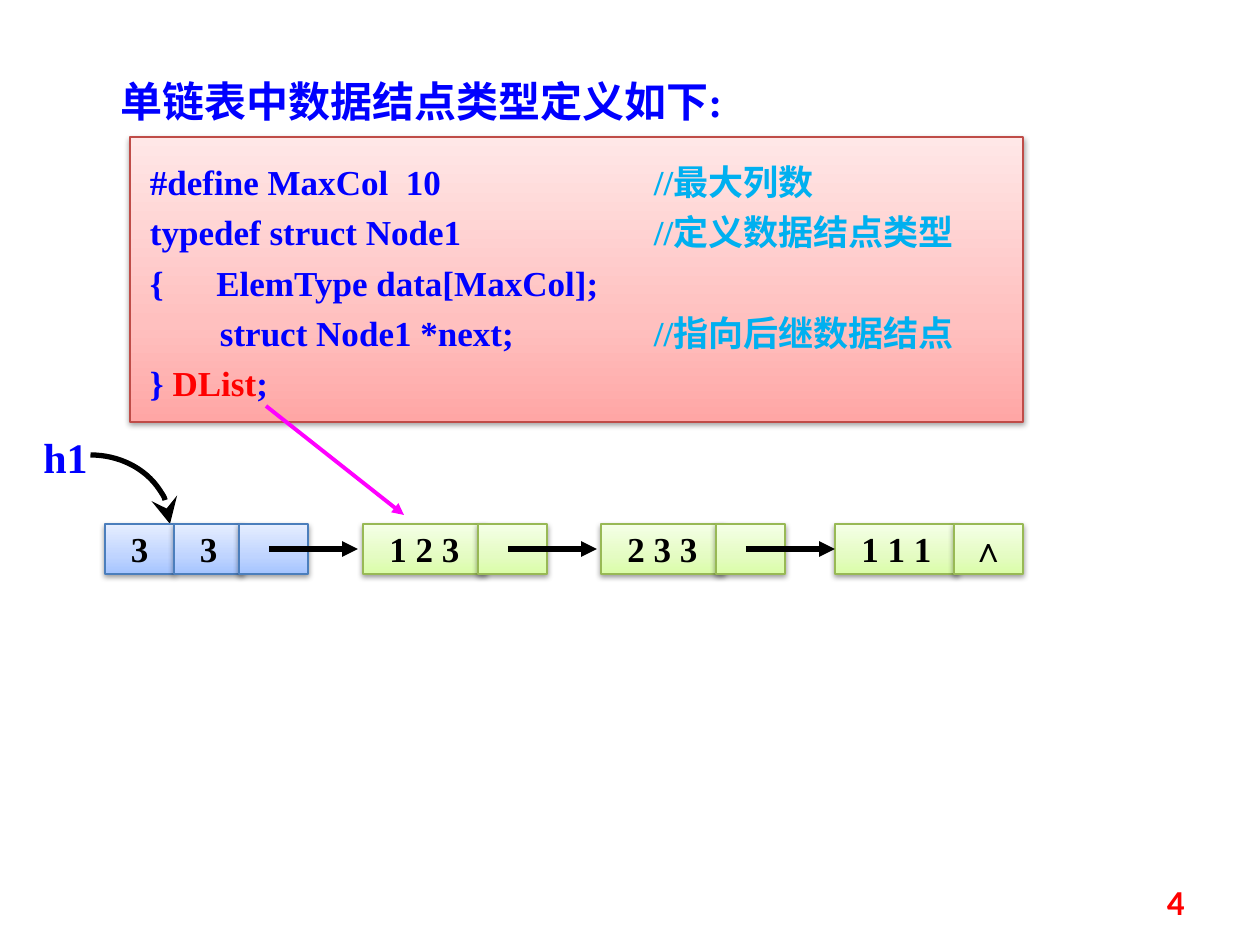
from lxml.etree import SubElement
from pptx import Presentation
from pptx.dml.color import RGBColor
from pptx.enum.shapes import MSO_CONNECTOR, MSO_SHAPE
from pptx.enum.text import MSO_ANCHOR, PP_ALIGN
from pptx.oxml.ns import qn
from pptx.util import Emu, Pt

SCALE = 914400 / 126
FONT = "Times New Roman"
COLORS = {
    "code": "0000FF",
    "comment": "00B0F0",
    "accent": "FF0000",
    "pointer": "FF00FF",
    "ink": "000000",
}
PALETTES = {
    "red": ("BF4C48", ("FFA6A5", "FFC0BF", "FFE7E7")),
    "blue": ("4B7EBC", ("A4C4FF", "BFD4FF", "E6EEFF")),
    "green": ("98B955", ("DAFDA7", "E4FCC2", "F5FFE7")),
}
STOPS = (0, 35, 100)
CODE_LINES = [
    [("#define MaxCol  10\t\t", "code"), ("//最大列数", "comment")],
    [("typedef struct Node1\t\t", "code"), ("//定义数据结点类型", "comment")],
    [("{  　ElemType data[MaxCol];", "code")],
    [("        struct Node1 *next;\t\t", "code"), ("//指向后继数据结点", "comment")],
    [("} ", "code"), ("DList", "accent"), (";", "code")],
]
TAB_WIDTH = 126
ROW_TOP, ROW_HEIGHT = 524, 50
ROW_MIDDLE = ROW_TOP + ROW_HEIGHT // 2
CELL_WIDTH, DATA_WIDTH = 69, 123
HEAD_CELLS = [(105, "3"), (174, "3"), (239, "")]
NODES = [
    (363, "1 2 3", 478, ""),
    (601, "2 3 3", 716, ""),
    (835, "1 1 1", 954, "∧"),
]
LINK_OFFSET, LINK_LENGTH = 30, 89


def px(value):
    return Emu(round(value * SCALE))


def color(name):
    return RGBColor.from_string(COLORS[name])


def add_run(paragraph, text, color_name, size, font=FONT):
    run = paragraph.add_run()
    run.text = text
    run.font.name = font
    run.font.size = Pt(size)
    run.font.bold = True
    run.font.color.rgb = color(color_name)


def add_label(slide, box, text, color_name, size, align=PP_ALIGN.LEFT,
              anchor=MSO_ANCHOR.TOP, font=FONT):
    frame = slide.shapes.add_textbox(*map(px, box)).text_frame
    frame.word_wrap = True
    frame.vertical_anchor = anchor
    paragraph = frame.paragraphs[0]
    paragraph.alignment = align
    add_run(paragraph, text, color_name, size, font)


def add_shadow(shape):
    shape.shadow.inherit = False
    effects = shape._element.spPr.find(qn("a:effectLst"))
    shadow = SubElement(effects, qn("a:outerShdw"), blurRad="40000",
                        dist="20000", dir="5400000", rotWithShape="0")
    shade = SubElement(shadow, qn("a:srgbClr"), val=COLORS["ink"])
    SubElement(shade, qn("a:alpha"), val="38000")


def add_panel(slide, box, palette):
    border, tints = PALETTES[palette]
    shape = slide.shapes.add_shape(MSO_SHAPE.RECTANGLE, *map(px, box))
    shape.fill.gradient()
    shape.fill.gradient_angle = 90
    stops = shape._element.spPr.find(qn("a:gradFill")).find(qn("a:gsLst"))
    for stop in list(stops):
        stops.remove(stop)
    for position, tint in zip(STOPS, tints):
        stop = SubElement(stops, qn("a:gs"), pos=str(position * 1000))
        SubElement(stop, qn("a:srgbClr"), val=tint)
    shape.line.color.rgb = RGBColor.from_string(border)
    shape.line.width = Pt(0.75)
    add_shadow(shape)
    return shape


def add_code(slide, box):
    frame = add_panel(slide, box, "red").text_frame
    frame.word_wrap = True
    frame.vertical_anchor = MSO_ANCHOR.TOP
    frame.margin_left = frame.margin_right = px(20)
    frame.margin_top = frame.margin_bottom = px(15)
    for index, line in enumerate(CODE_LINES):
        paragraph = frame.add_paragraph() if index else frame.paragraphs[0]
        paragraph.alignment = PP_ALIGN.LEFT
        paragraph.line_spacing = 1.2
        paragraph._p.get_or_add_pPr().set("defTabSz", str(px(TAB_WIDTH)))
        for text, color_name in line:
            add_run(paragraph, text, color_name, 20)


def add_cell(slide, left, width, text, palette):
    shape = add_panel(slide, (left, ROW_TOP, width, ROW_HEIGHT), palette)
    if text:
        frame = shape.text_frame
        frame.word_wrap = False
        frame.vertical_anchor = MSO_ANCHOR.MIDDLE
        frame.paragraphs[0].alignment = PP_ALIGN.CENTER
        add_run(frame.paragraphs[0], text, "ink", 20)
    return shape


def style_arrow(shape, color_name, width, head, head_size="med"):
    shape.line.color.rgb = color(color_name)
    shape.line.width = Pt(width)
    properties = shape._element.spPr
    SubElement(properties.find(qn("a:ln")), qn("a:tailEnd"),
               type=head, w=head_size, len=head_size)
    if properties.find(qn("a:effectLst")) is None:
        SubElement(properties, qn("a:effectLst"))


def add_arrow(slide, start, end, color_name, width):
    connector = slide.shapes.add_connector(
        MSO_CONNECTOR.STRAIGHT, *map(px, start + end))
    style_arrow(connector, color_name, width, "triangle")
    return connector


def add_head_arc(slide, box):
    arc = slide.shapes.add_shape(MSO_SHAPE.ARC, *map(px, box))
    arc.fill.background()
    arc.shadow.inherit = False
    style_arrow(arc, "ink", 3, "stealth", "lg")


def add_linked_list(slide):
    for left, text in HEAD_CELLS:
        add_cell(slide, left, CELL_WIDTH, text, "blue")
    pointer_left = HEAD_CELLS[-1][0]
    for data_left, data, next_left, mark in NODES:
        data_cell = add_cell(slide, data_left, DATA_WIDTH, data, "green")
        add_cell(slide, next_left, CELL_WIDTH, mark, "green")
        link_start = pointer_left + LINK_OFFSET
        link_end = link_start + LINK_LENGTH
        link = add_arrow(slide, (link_start, ROW_MIDDLE),
                         (link_end, ROW_MIDDLE), "ink", 3)
        if link_end == data_left:
            link.end_connect(data_cell, 1)
        pointer_left = next_left


def main():
    presentation = Presentation()
    presentation.slide_width = px(1260)
    presentation.slide_height = px(945)
    slide = presentation.slides.add_slide(presentation.slide_layouts[6])
    add_label(slide, (108, 69, 808, 63), "单链表中数据结点类型定义如下:", "code", 24,
              PP_ALIGN.JUSTIFY)
    add_code(slide, (130, 137, 893, 285))
    add_head_arc(slide, (11, 455, 159, 138))
    add_label(slide, (31, 425, 89, 63), "h1", "code", 24)
    add_linked_list(slide)
    add_arrow(slide, (266, 406), (404, 515), "pointer", 2.25)
    add_label(slide, (903, 877, 294, 50), "4", "accent", 20,
              PP_ALIGN.RIGHT, MSO_ANCHOR.MIDDLE, "Calibri")
    presentation.save("out.pptx")


if __name__ == "__main__":
    main()
